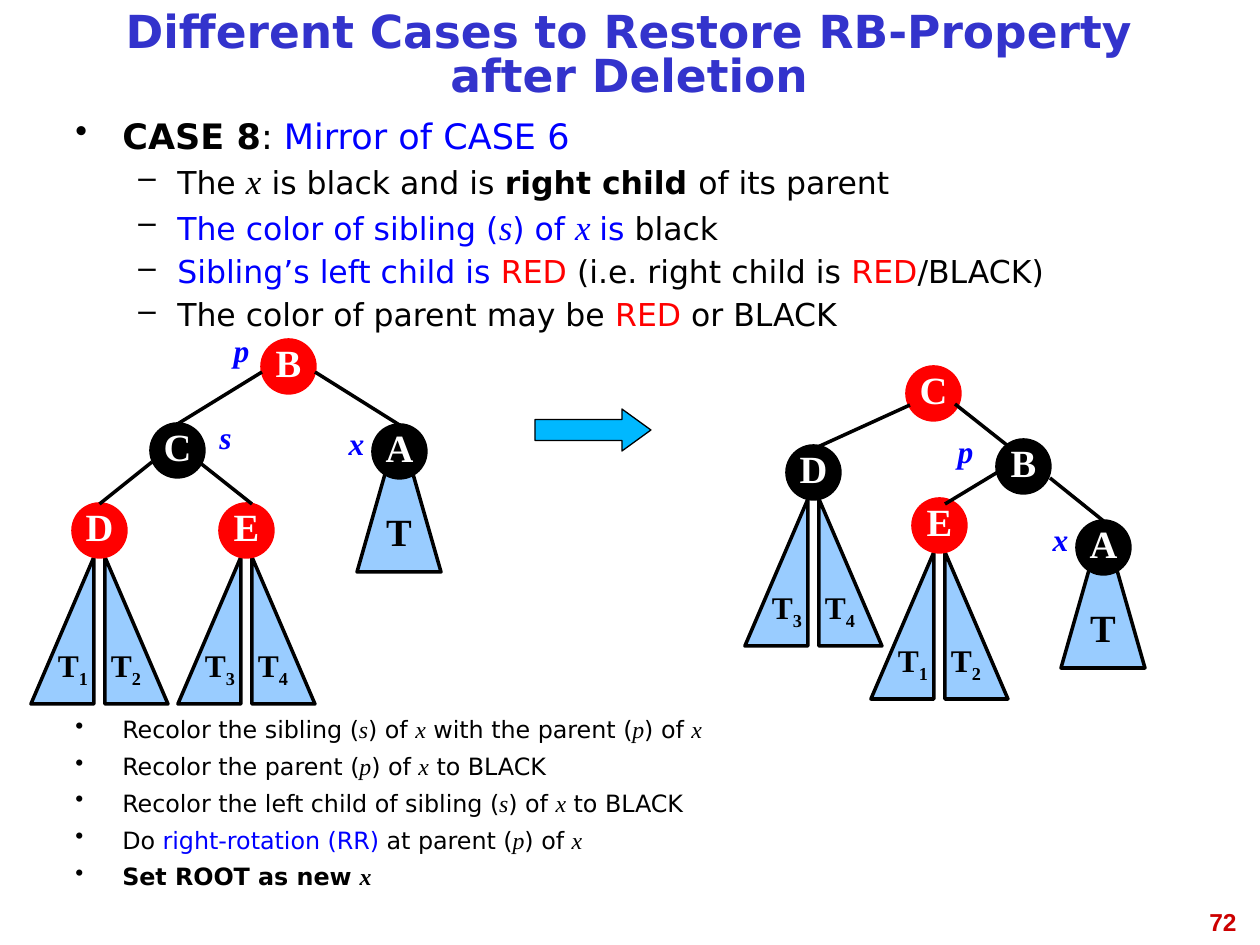
from lxml.etree import SubElement
from pptx import Presentation
from pptx.dml.color import RGBColor
from pptx.enum.shapes import MSO_CONNECTOR, MSO_SHAPE
from pptx.enum.text import MSO_ANCHOR, PP_ALIGN
from pptx.oxml.ns import qn
from pptx.util import Emu, Pt

SCALE = 914400 / 126
SANS, SERIF = "DejaVu Sans", "Times New Roman"
BLACK, WHITE, RED, BLUE = "000000", "FFFFFF", "FF0000", "0000FF"
SUBTREE = "99CCFF"

TITLE = "Different Cases to Restore RB-Property after Deletion"
CONDITIONS = [
    (0, [("CASE 8", "bold"), (": ", ""), ("Mirror of CASE 6", "blue")]),
    (1, [("The ", ""), ("x", "math"), (" is black and is ", ""),
         ("right child ", "bold"), ("of its parent", "")]),
    (1, [("The color of sibling (", "blue"), ("s", "blue math"), (") of ", "blue"),
         ("x ", "blue math"), ("is ", "blue"), ("black", "")]),
    (1, [("Sibling’s left child is ", "blue"), ("RED ", "red"),
         ("(i.e. right child is ", ""), ("RED", "red"), ("/BLACK)", "")]),
    (1, [("The color of parent may be ", ""), ("RED", "red"), (" or BLACK", "")]),
]
STEPS = [
    (0, [("Recolor the sibling (", ""), ("s", "math"), (") of ", ""), ("x", "math"),
         (" with the parent (", ""), ("p", "math"), (") of ", ""), ("x", "math")]),
    (0, [("Recolor the parent (", ""), ("p", "math"), (") of ", ""), ("x", "math"),
         (" to BLACK", "")]),
    (0, [("Recolor the left child of sibling (", ""), ("s", "math"), (") of ", ""),
         ("x", "math"), (" to BLACK", "")]),
    (0, [("Do ", ""), ("right-rotation (RR)", "blue"), (" at parent (", ""),
         ("p", "math"), (") of ", ""), ("x", "math")]),
    (0, [("Set ROOT as new ", "bold"), ("x", "bold math")]),
]
BEFORE = {
    "nodes": {"B": (262, 340, RED, ""), "C": (151, 424, BLACK, ""),
              "A": (373, 425, BLACK, "T"), "D": (73, 504, RED, "12"),
              "E": (220, 504, RED, "34")},
    "edges": [(315, 372, 399, 425, "A"), (262, 372, 178, 424, "C"),
              (152, 462, 100, 504, "D"), (199, 462, 252, 504, "")],
    "labels": [("p", 189, 325, 105), ("x", 325, 418, 63), ("s", 189, 412, 73)],
}
AFTER = {
    "nodes": {"C": (907, 367, RED, ""), "D": (787, 446, BLACK, "34"),
              "B": (997, 440, BLACK, ""), "E": (913, 499, RED, "12"),
              "A": (1077, 521, BLACK, "T")},
    "edges": [(910, 405, 809, 451, ""), (955, 404, 1008, 446, ""),
              (998, 472, 945, 504, ""), (1050, 478, 1103, 521, "A")],
    "labels": [("p", 913, 426, 105), ("x", 1029, 514, 63)],
}
NODE_SIZE = 53
SUBTREE_HEIGHT = 147
LEVELS = [(47, 47, "•", 8), (102, 39, "–", 7)]


def px(value):
    return Emu(round(value * SCALE))


def color(value):
    return RGBColor.from_string(value)


def set_values(target, values):
    for name, value in values.items():
        setattr(target, name, value)


def add_run(paragraph, text, size, font, hex_color, bold=False, italic=False):
    run = paragraph.add_run()
    run.text = text
    set_values(run.font, {"size": Pt(size), "name": font, "bold": bold, "italic": italic})
    run.font.color.rgb = color(hex_color)
    return run


def add_box(slide, box):
    shape = slide.shapes.add_textbox(*map(px, box))
    shape.text_frame.word_wrap = True
    return shape.text_frame


def add_bullets(slide, box, items, sizes, math_sizes):
    frame = add_box(slide, box)
    for index, (level, runs) in enumerate(items):
        paragraph = frame.add_paragraph() if index else frame.paragraphs[0]
        margin, hanging, mark, space = LEVELS[level]
        properties = paragraph._p.get_or_add_pPr()
        properties.set("marL", str(px(margin)))
        properties.set("indent", str(-px(hanging)))
        bullet_color = SubElement(properties, qn("a:buClr"))
        SubElement(bullet_color, qn("a:srgbClr"), val=BLACK)
        SubElement(properties, qn("a:buChar"), char=mark)
        set_values(paragraph, {"level": level, "alignment": PP_ALIGN.JUSTIFY,
                               "line_spacing": 0.8, "space_before": Pt(space if index else 0)})
        for text, style in runs:
            math = "math" in style
            hex_color = BLUE if "blue" in style else RED if "red" in style else BLACK
            add_run(paragraph, text, (math_sizes if math else sizes)[level],
                    SERIF if math else SANS, hex_color, "bold" in style, math)


def add_figure(slide, kind, box, fill, line, text="", size=22, text_color=BLACK, subscript=""):
    shape = slide.shapes.add_shape(kind, *map(px, box))
    shape.shadow.inherit = False
    shape.fill.solid()
    shape.fill.fore_color.rgb = color(fill)
    shape.line.color.rgb = color(line)
    shape.line.width = Pt(2)
    set_values(shape.text_frame, {"word_wrap": False, "vertical_anchor": MSO_ANCHOR.MIDDLE})
    paragraph = shape.text_frame.paragraphs[0]
    set_values(paragraph, {"alignment": PP_ALIGN.CENTER, "line_spacing": 0.81})
    if text:
        add_run(paragraph, text, size, SERIF, text_color, True)
    if subscript:
        run = add_run(paragraph, subscript, size, SERIF, text_color, True)
        run.font._element.set("baseline", "-25000")
    return shape


def add_subtrees(slide, x, y, names):
    if names == "T":
        box = (x - 16, y, 84, SUBTREE_HEIGHT)
        add_figure(slide, MSO_SHAPE.ISOSCELES_TRIANGLE, box, SUBTREE, BLACK, "T")
        return
    top = y + NODE_SIZE
    for name, offset in zip(names, (-42, 32)):
        box = (x + offset, top, 63, SUBTREE_HEIGHT)
        shape = add_figure(slide, MSO_SHAPE.RIGHT_TRIANGLE, box, SUBTREE, BLACK,
                           "T", 18, subscript=name)
        if offset < 0:
            shape._element.spPr.xfrm.set("flipH", "1")


def add_tree(slide, tree):
    for x, y, fill, subtrees in tree["nodes"].values():
        add_subtrees(slide, x, y, subtrees)
    nodes = {}
    for name, (x, y, fill, subtrees) in tree["nodes"].items():
        nodes[name] = add_figure(slide, MSO_SHAPE.OVAL, (x, y, NODE_SIZE, NODE_SIZE),
                                 fill, fill, name, text_color=WHITE)
    for *ends, child in tree["edges"]:
        connector = slide.shapes.add_connector(MSO_CONNECTOR.STRAIGHT, *map(px, ends))
        connector.line.color.rgb = color(BLACK)
        connector.line.width = Pt(2)
        SubElement(connector._element.spPr, qn("a:effectLst"))
        if child:
            connector.end_connect(nodes[child], 0)
    for text, x, y, width in tree["labels"]:
        paragraph = add_box(slide, (x, y, width, 50)).paragraphs[0]
        paragraph.alignment = PP_ALIGN.CENTER
        add_run(paragraph, text, 18, SERIF, BLUE, True, True)


def main():
    presentation = Presentation()
    set_values(presentation, {"slide_width": px(1260), "slide_height": px(945)})
    slide = presentation.slides.add_slide(presentation.slide_layouts[6])

    title = add_box(slide, (63, 10, 1133, 95))
    title.vertical_anchor = MSO_ANCHOR.MIDDLE
    set_values(title.paragraphs[0], {"alignment": PP_ALIGN.CENTER, "line_spacing": 0.81})
    add_run(title.paragraphs[0], TITLE, 26, SANS, "3333CC", True)

    add_bullets(slide, (63, 116, 1133, 242), CONDITIONS, (20, 18), (20, 20))
    add_bullets(slide, (63, 714, 1133, 210), STEPS, (13.6,), (13.6,))
    add_tree(slide, BEFORE)
    add_tree(slide, AFTER)

    arrow = add_figure(slide, MSO_SHAPE.RIGHT_ARROW, (535, 409, 116, 42), "00B8FF", BLACK)
    arrow.line.width = Pt(0.75)
    arrow.adjustments[1] = 0.69

    number = add_box(slide, (955, 901, 294, 66)).paragraphs[0]
    number.alignment = PP_ALIGN.RIGHT
    add_run(number, "72", 14, "Arial", "CC0000", True)
    presentation.save("out.pptx")


if __name__ == "__main__":
    main()
